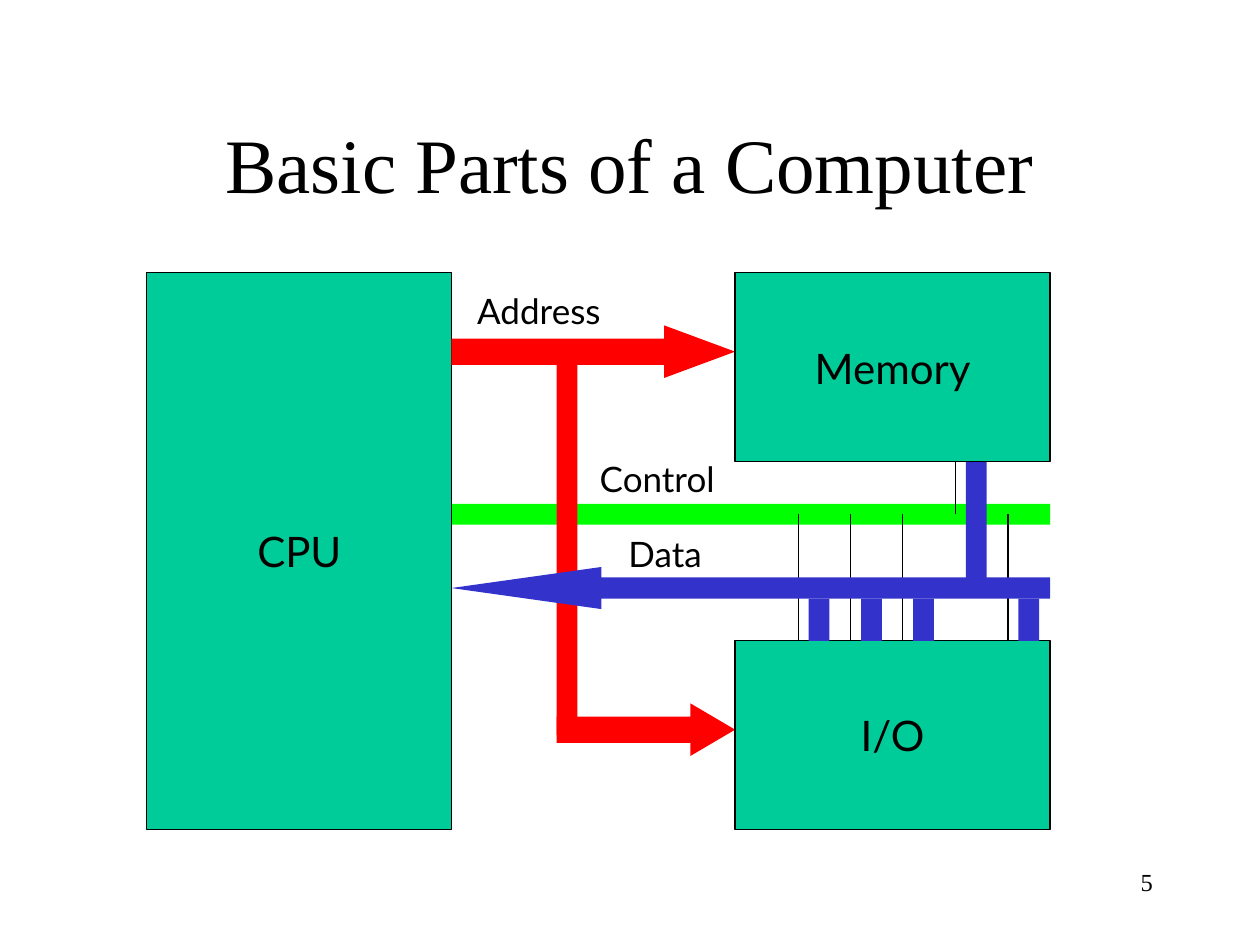
from lxml.etree import SubElement
from pptx import Presentation
from pptx.dml.color import RGBColor
from pptx.enum.shapes import MSO_CONNECTOR, MSO_SHAPE
from pptx.enum.text import MSO_ANCHOR, PP_ALIGN
from pptx.oxml.ns import qn
from pptx.util import Cm, Pt

BLACK = RGBColor(0x00, 0x00, 0x00)
TEAL = RGBColor(0x00, 0xCC, 0x99)
RED = RGBColor(0xFF, 0x00, 0x00)
GREEN = RGBColor(0x00, 0xFF, 0x00)
BLUE = RGBColor(0x33, 0x33, 0xCC)
SERIF, SANS = "Times New Roman", "Lato"

# Places are left, top, width, height in centimetres.
TITLE = ("Basic Parts of a Computer", (1.9, 1.7, 21.6, 3.18))
PAGE_NUMBER = ("5", (18.2, 17.36, 5.29, 1.27))
CPU = ("CPU", (2.96, 5.5, 6.15, 11.22))
MEMORY = ("Memory", (14.82, 5.5, 6.35, 3.81))
IO = ("I/O", (14.82, 12.91, 6.35, 3.81))
BUS_LABELS = [
    ("Address", (9.37, 5.72, 3.2, 1.12)),
    ("Data", (12.42, 10.6, 2.06, 1.12)),
    ("Control", (11.84, 9.1, 2.97, 1.12)),
]
CONTROL_BUS = (8.89, 10.16, 12.28, 0.42)
ADDRESS_BRANCH = (11.22, 7.2, 0.42, 7.62)
ADDRESS_ARROWS = [
    ((9.1, 6.56, 5.72, 1.06), 1.35),
    ((11.22, 14.18, 3.6, 1.06), 0.85),
]
DATA_ARROW = ((9.1, 11.43, 12.07, 0.85), 3.56)

# Each control line has a data stub just to its right.
IO_LINES_X = [16.09, 17.15, 18.2, 20.32]
MEMORY_LINE_X = 19.26
CONTROL_Y, IO_LINE_END, MEMORY_LINE_START = 10.37, 13.12, 8.26
STUB_OFFSET, STUB_WIDTH = 0.21, 0.42
IO_STUB = (12.07, 0.85)
MEMORY_STUB = (9.31, 2.54)


def write(s, text, size, font, align, anchor=MSO_ANCHOR.TOP, wrap=False):
    tf = s.text_frame
    tf.word_wrap = wrap
    tf.vertical_anchor = anchor
    p = tf.paragraphs[0]
    p.text = text
    p.alignment = align
    p.font.size = Pt(size)
    p.font.name = font
    p.font.color.rgb = BLACK


def add_text(slide, text, place, *style, **options):
    s = slide.shapes.add_textbox(*map(Cm, place))
    write(s, text, *style, **options)


def add_block(slide, place, color, kind=MSO_SHAPE.RECTANGLE):
    s = slide.shapes.add_shape(kind, *map(Cm, place))
    s.shadow.inherit = False
    s.fill.solid()
    s.fill.fore_color.rgb = color
    s.line.fill.background()
    return s


def add_arrow(slide, place, head, color, kind):
    s = add_block(slide, place, color, kind)
    s.adjustments[0] = 0.5
    s.adjustments[1] = head


def add_unit(slide, name, place):
    s = add_block(slide, place, TEAL)
    s.line.color.rgb = BLACK
    s.line.width = Pt(0.75)
    write(s, name, 24, SANS, PP_ALIGN.CENTER, MSO_ANCHOR.MIDDLE)


def add_control_line(slide, x, top, bottom):
    c = slide.shapes.add_connector(
        MSO_CONNECTOR.STRAIGHT, Cm(x), Cm(top), Cm(x), Cm(bottom))
    c.line.color.rgb = BLACK
    c.line.width = Pt(0.75)
    SubElement(c._element.spPr, qn("a:effectLst"))


def add_data_stub(slide, line_x, top, height):
    add_block(slide, (line_x + STUB_OFFSET, top, STUB_WIDTH, height), BLUE)


def main():
    prs = Presentation()
    prs.slide_width, prs.slide_height = Cm(25.4), Cm(19.05)
    slide = prs.slides.add_slide(prs.slide_layouts[6])

    add_block(slide, CONTROL_BUS, GREEN)
    add_block(slide, ADDRESS_BRANCH, RED)
    add_text(slide, *TITLE, 44, SERIF, PP_ALIGN.CENTER,
             anchor=MSO_ANCHOR.MIDDLE, wrap=True)
    add_unit(slide, *CPU)
    for place, head in ADDRESS_ARROWS:
        add_arrow(slide, place, head, RED, MSO_SHAPE.RIGHT_ARROW)
    for text, place in BUS_LABELS:
        add_text(slide, text, place, 20, SANS, PP_ALIGN.LEFT)

    for x in IO_LINES_X:
        add_control_line(slide, x, CONTROL_Y, IO_LINE_END)
    add_control_line(slide, MEMORY_LINE_X, MEMORY_LINE_START, CONTROL_Y)
    add_arrow(slide, *DATA_ARROW, BLUE, MSO_SHAPE.LEFT_ARROW)
    add_unit(slide, *IO)
    add_data_stub(slide, MEMORY_LINE_X, *MEMORY_STUB)
    add_unit(slide, *MEMORY)
    for x in IO_LINES_X:
        add_data_stub(slide, x, *IO_STUB)

    add_text(slide, *PAGE_NUMBER, 14, SERIF, PP_ALIGN.RIGHT, wrap=True)
    prs.save("out.pptx")


if __name__ == "__main__":
    main()
